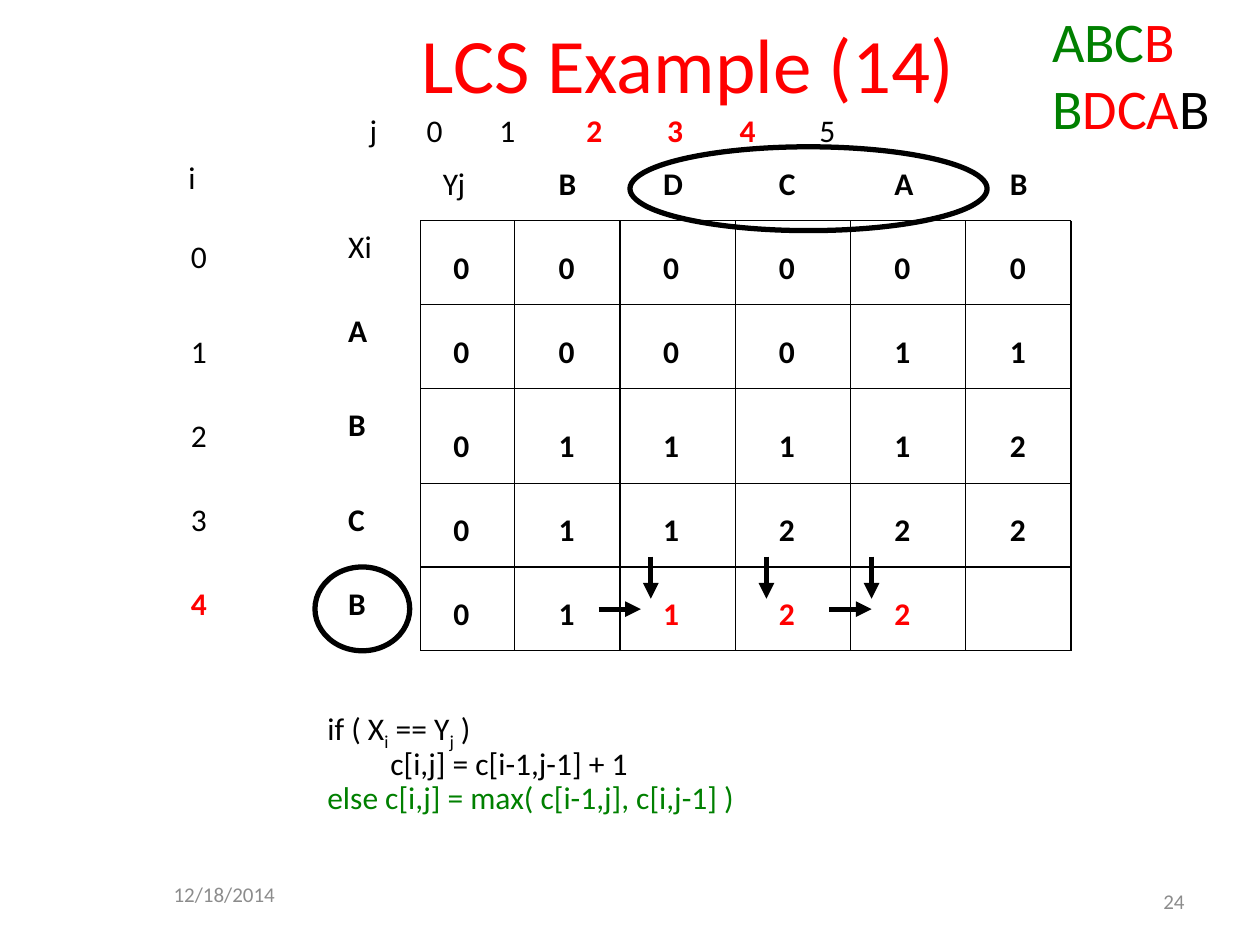
from lxml.etree import SubElement
from pptx import Presentation
from pptx.dml.color import RGBColor as RGB
from pptx.enum.shapes import MSO_CONNECTOR as Line, MSO_SHAPE as Shape
from pptx.enum.text import MSO_ANCHOR as Anchor, PP_ALIGN as Align
from pptx.oxml.ns import qn
from pptx.util import Cm, Pt

hues = {"black": "000000", "red": "FF0000", "green": "008000", "gray": "8C8C8C"}

deck = Presentation()
deck.slide_width, deck.slide_height = Cm(25.4), Cm(19.05)
slide = deck.slides.add_slide(deck.slide_layouts[6])
shapes = slide.shapes


def write(x, y, w, h, *lines, size=18, hue="black", bold=False,
          align=Align.LEFT, anchor=Anchor.TOP, tabs=()):
    """Add a text box; a line is a string or a list of (text, hue, bold) runs."""
    frame = shapes.add_textbox(Cm(x), Cm(y), Cm(w), Cm(h)).text_frame
    frame.word_wrap = True
    frame.vertical_anchor = anchor
    for n, line in enumerate(lines):
        para = frame.add_paragraph() if n else frame.paragraphs[0]
        para.alignment = align
        if tabs:
            stops = SubElement(para._p.get_or_add_pPr(), qn("a:tabLst"))
            for pos in tabs:
                SubElement(stops, qn("a:tab"), pos=str(Cm(pos)), algn="l")
        font = para.font
        font.name, font.size, font.bold = "Calibri", Pt(size), bold
        font.color.rgb = RGB.from_string(hues[hue])
        if isinstance(line, str):
            para.add_run().text = line
            continue
        for text, tint, heavy in line:
            run = para.add_run()
            run.text = text
            run.font.bold = heavy
            run.font.color.rgb = RGB.from_string(hues[tint])
    return frame


def draw(x1, y1, x2, y2, width=0.75, arrow=False):
    line = shapes.add_connector(Line.STRAIGHT, Cm(x1), Cm(y1), Cm(x2), Cm(y2))
    line.line.color.rgb = RGB.from_string(hues["black"])
    line.line.width = Pt(width)
    if arrow:
        SubElement(line.line._get_or_add_ln(), qn("a:tailEnd"), type="triangle")
    SubElement(line._element.spPr, qn("a:effectLst"))


# Footer and title
write(3.25, 17.4, 5.28, 1.27, "12/18/2014", size=12, hue="gray", anchor=Anchor.MIDDLE)
write(18.21, 17.65, 5.92, 1.02, "24", size=12, hue="gray",
      align=Align.RIGHT, anchor=Anchor.MIDDLE)
write(2.34, 0, 23.06, 2.54, "LCS Example (14)", size=44, hue="red",
      align=Align.CENTER, anchor=Anchor.MIDDLE)

# Grid
cols = [8.47, 10.37, 12.5, 14.82, 17.14, 19.47, 21.59]
rows = [4.45, 6.14, 7.83, 9.74, 11.43, 13.12]
for x in cols:
    draw(x, rows[0], x, rows[-1])
for y in rows:
    draw(cols[0], y, cols[-1], y)

# Column heads
write(7.2, 2.12, 14.3, 1.27,
      [("j\t0\t1\t", "black", False), ("2\t3\t4", "red", True), ("\t5", "black", False)],
      tabs=[1.15, 2.62, 4.37, 6, 7.46, 9.07])
write(8.68, 3.18, 1.35, 1.27, "Yj")
lefts = [8.89, 11.01, 13.12, 15.45, 17.78, 20.11]
for x, name in zip(lefts[1:], "BDCAB"):
    write(x, 3.18, 1.1, 1.27, name, bold=True)

# Row heads
write(3.55, 3.07, 0.94, 1.27, "i")
for n, y in enumerate([4.66, 6.56, 8.26, 9.95, 11.64]):
    last = n == 4
    write(3.6, y, 0.94, 1.27, str(n), hue="red" if last else "black", bold=last)
for name, y in zip(["Xi", "A", "B", "C", "B"], [4.45, 6.14, 8.04, 9.95, 11.64]):
    write(6.77, y, 1.35, 1.27, name, bold=name != "Xi")

# Cell values
tops = [4.87, 6.56, 8.47, 10.16, 11.85]
for r, (y, vals) in enumerate(zip(tops, ["000000", "000011", "011112", "011222", "01122"])):
    for c, (x, val) in enumerate(zip(lefts, vals)):
        hue = "red" if r == 4 and c > 1 else "black"
        write(x, y, 0.94, 1.27, val, hue=hue, bold=True)

# Rule
code = write(3.81, 14.18, 17.15, 3,
             [(t, "black", False) for t in ("\t\tif ( X", "i", " == Y", "j", " )")],
             "\t\t\tc[i,j] = c[i-1,j-1] + 1",
             [("\t\telse c[i,j] = max( c[i-1,j], c[i,j-1] )", "green", False)])
for para in code.paragraphs:
    para.line_spacing = 0.9
for run in code.paragraphs[0].runs[1::2]:
    run._r.get_or_add_rPr().set("baseline", "-25000")

# Arrows and rings
for x in (12.07, 16.72):
    draw(x, 12.28, x + 0.85, 12.28, 3, True)
for x in (13.12, 15.45, 17.57):
    draw(x, 11.22, x, 12.07, 3, True)
for x, y, w in ((6.35, 11.43, 1.91), (12.7, 2.96, 7.2)):
    ring = shapes.add_shape(Shape.OVAL, Cm(x), Cm(y), Cm(w), Cm(1.69))
    ring.shadow.inherit = False
    ring.fill.background()
    ring.line.color.rgb = RGB.from_string(hues["black"])
    ring.line.width = Pt(3)

# Strings compared
write(20.96, 0, 4.44, 2.96,
      [("ABC", "green", False), ("B", "red", False)],
      [("B", "green", False), ("DCA", "red", False), ("B", "black", False)], size=32)

deck.save("out.pptx")
